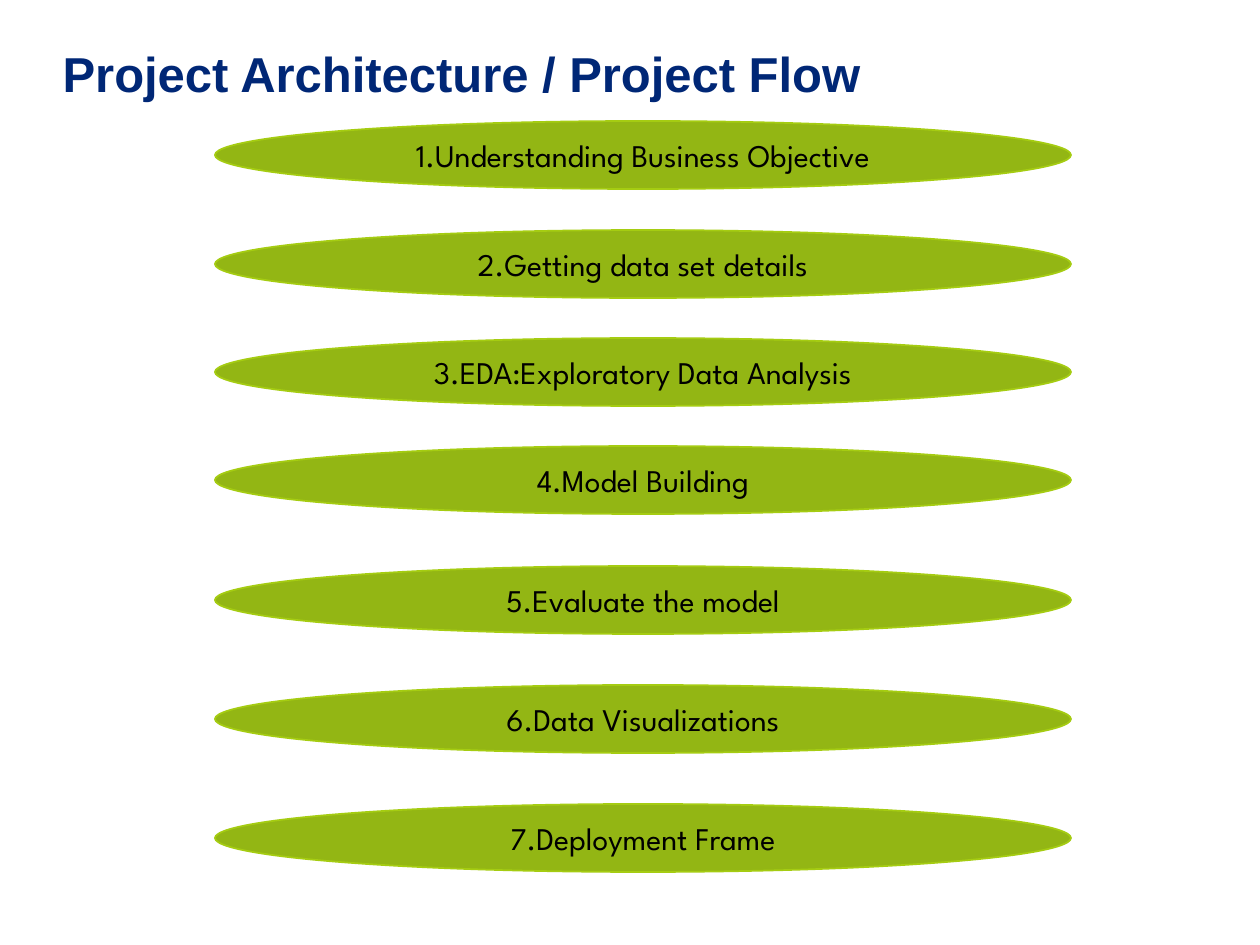
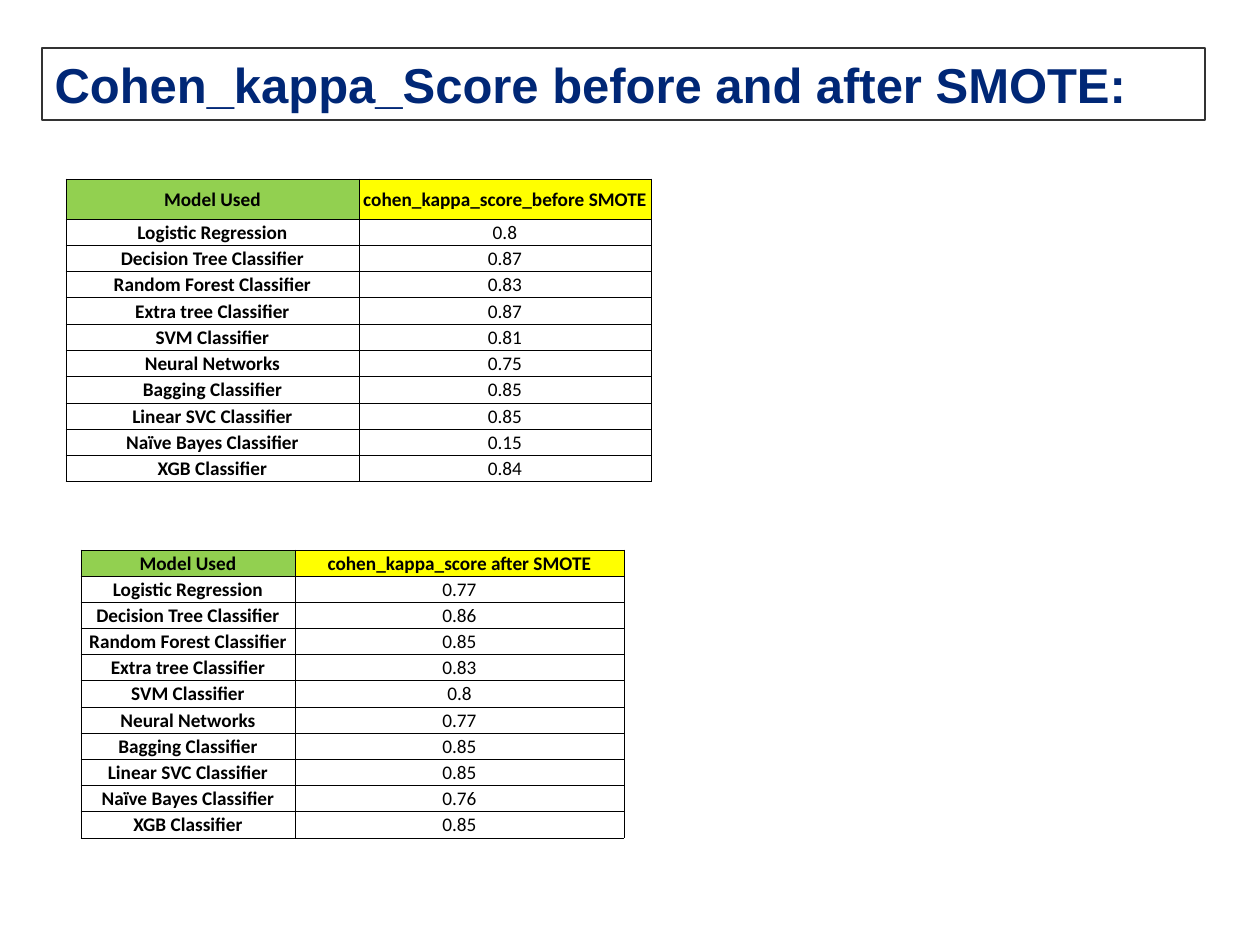
from lxml.etree import SubElement
from pptx import Presentation
from pptx.dml.color import RGBColor
from pptx.enum.shapes import MSO_SHAPE as Shape
from pptx.enum.text import MSO_ANCHOR as Anchor, MSO_AUTO_SIZE as AutoSize, PP_ALIGN as Align
from pptx.oxml.ns import qn
from pptx.util import Pt

EMU_PER_PX = 914400 / 126

BLACK, WHITE, NAVY, GREY = "000000", "FFFFFF", "002776", "333333"
STEP_FILL, STEP_LINE = "93B614", "A5CC12"
HEADER_FILLS = ["92D050", "FFFF00"]

TITLE_FONT = {"name": "Arial", "size": Pt(28), "bold": True}
STEP_FONT = {"name": "League Spartan", "size": Pt(18)}
TABLE_FONT = {"name": "Calibri", "size": Pt(11)}

STEP_LEFT, STEP_WIDTH, STEP_HEIGHT = 215, 856, 68
# Each step with its top edge in px
STEPS = [
    ("Understanding Business Objective", 121),
    ("Getting data set details", 230),
    ("EDA:Exploratory Data Analysis", 338),
    ("Model Building", 446),
    ("Evaluate the model", 566),
    ("Data Visualizations", 685),
    ("Deployment Frame", 804),
]

# Model, kappa before SMOTE, kappa after SMOTE
SCORES = [
    ("Logistic Regression", "0.8", "0.77"),
    ("Decision Tree Classifier", "0.87", "0.86"),
    ("Random Forest Classifier", "0.83", "0.85"),
    ("Extra tree Classifier", "0.87", "0.83"),
    ("SVM Classifier", "0.81", "0.8"),
    ("Neural Networks", "0.75", "0.77"),
    ("Bagging Classifier", "0.85", "0.85"),
    ("Linear SVC Classifier", "0.85", "0.85"),
    ("Naïve Bayes Classifier", "0.15", "0.76"),
    ("XGB Classifier", "0.84", "0.85"),
]


def px(length):
    return round(length * EMU_PER_PX)


def color(hex_code):
    return RGBColor.from_string(hex_code)


def set_format(target, values):
    for name, value in values.items():
        setattr(target, name, value)


def set_fill(target, hex_code):
    target.fill.solid()
    target.fill.fore_color.rgb = color(hex_code)


def set_line(shape, hex_code, points):
    shape.line.color.rgb = color(hex_code)
    shape.line.width = Pt(points)


def write(frame, text, align, font, hex_code):
    para = frame.paragraphs[0]
    para.alignment = align
    span = para.add_run()
    span.text = text
    set_format(span.font, font)
    span.font.color.rgb = color(hex_code)


def add_titled_page(deck, text, left, top, width, height):
    page = deck.slides.add_slide(deck.slide_layouts[5])
    title = page.shapes.title
    set_format(title, {"left": px(left), "top": px(top),
                       "width": px(width), "height": px(height)})
    set_format(title.text_frame, {"word_wrap": True, "auto_size": AutoSize.NONE,
                                  "vertical_anchor": Anchor.TOP})
    write(title.text_frame, text, Align.LEFT, TITLE_FONT, NAVY)
    return page


def add_step(page, text, top):
    step = page.shapes.add_shape(Shape.OVAL, px(STEP_LEFT), px(top),
                                 px(STEP_WIDTH), px(STEP_HEIGHT))
    step.shadow.inherit = False
    set_fill(step, STEP_FILL)
    set_line(step, STEP_LINE, 1)
    step.text_frame.vertical_anchor = Anchor.MIDDLE
    write(step.text_frame, text, Align.CENTER, STEP_FONT, BLACK)


def add_borders(cell, hex_code, points):
    properties = cell._tc.get_or_add_tcPr()
    for side in ("a:lnL", "a:lnR", "a:lnT", "a:lnB"):
        border = SubElement(properties, qn(side), w=str(Pt(points)))
        fill = SubElement(border, qn("a:solidFill"))
        SubElement(fill, qn("a:srgbClr"), val=hex_code)


def fill_cell(cell, text, bold, hex_fill=None):
    set_format(cell, {"margin_left": px(1), "margin_right": px(1), "margin_top": px(1),
                      "margin_bottom": 0, "vertical_anchor": Anchor.MIDDLE})
    add_borders(cell, BLACK, 0.5)
    if hex_fill:
        set_fill(cell, hex_fill)
    else:
        cell.fill.background()
    write(cell.text_frame, text, Align.CENTER, {**TABLE_FONT, "bold": bold}, BLACK)


def add_score_table(page, headers, rows, left, top, widths, header_height, body_height):
    table = page.shapes.add_table(len(rows) + 1, len(headers), px(left), px(top),
                                  px(sum(widths)), px(header_height + body_height)).table
    set_format(table, {"first_row": False, "horz_banding": False})
    for column, width in zip(table.columns, widths):
        column.width = px(width)
    for row in table.rows:
        row.height = px(body_height / len(rows))
    table.rows[0].height = px(header_height)
    for column, (header, hex_fill) in enumerate(zip(headers, HEADER_FILLS)):
        fill_cell(table.cell(0, column), header, True, hex_fill)
    for row, (model, score) in enumerate(rows, start=1):
        fill_cell(table.cell(row, 0), model, True)
        fill_cell(table.cell(row, 1), score, False)


def build_flow_page(deck):
    page = add_titled_page(deck, "Project Architecture / Project Flow", 50, 37, 845, 72)
    for number, (label, top) in enumerate(STEPS, start=1):
        add_step(page, f"{number}.{label}", top)


def build_score_page(deck):
    page = add_titled_page(deck, "Cohen_kappa_Score before and after SMOTE:",
                           42, 48, 1163, 72)
    set_fill(page.shapes.title, WHITE)
    set_line(page.shapes.title, GREY, 0.75)
    before = [(model, score) for model, score, _ in SCORES]
    after = [(model, score) for model, _, score in SCORES]
    add_score_table(page, ["Model Used", "cohen_kappa_score_before SMOTE"], before,
                    66, 179, [293, 292], 40, 263)
    add_score_table(page, ["Model Used", "cohen_kappa_score after SMOTE"], after,
                    81, 550, [214, 329], 26, 262)


def main():
    deck = Presentation()
    set_format(deck, {"slide_width": px(1260), "slide_height": px(945)})
    build_flow_page(deck)
    build_score_page(deck)
    deck.save("out.pptx")


if __name__ == "__main__":
    main()
